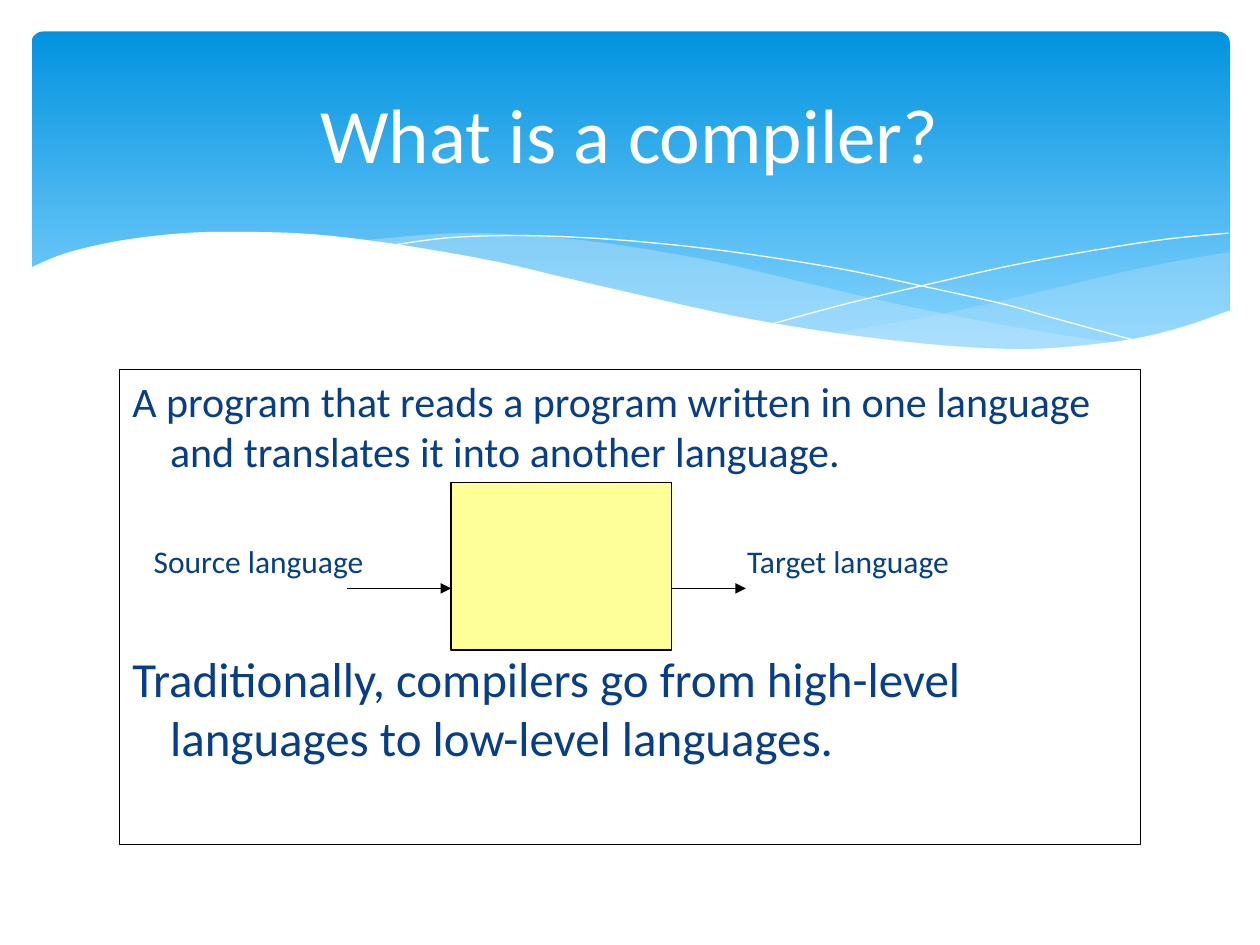
from lxml.etree import SubElement as Sub
from pptx import Presentation
from pptx.dml.color import RGBColor
from pptx.enum.shapes import MSO_CONNECTOR as Conn, MSO_SHAPE as Shape
from pptx.enum.text import MSO_ANCHOR as Anchor, MSO_AUTO_SIZE as Auto, PP_ALIGN as Align
from pptx.oxml.ns import qn
from pptx.util import Inches, Pt

NAVY, WHITE, BLACK, MIST = "073E87", "FFFFFF", "000000", "C6E7FC"

# Curve knots, in inches from the banner's top left corner
FLOOR = [(-.02, 1.88), (.27, 1.76), (.7, 1.66), (1.21, 1.6), (1.68, 1.59),
         (2.25, 1.61), (2.91, 1.69), (3.66, 1.82), (4.22, 1.95), (4.78, 2.08),
         (5.54, 2.25), (6.23, 2.37), (6.83, 2.45), (7.36, 2.5), (7.84, 2.52),
         (8.25, 2.5), (8.74, 2.44), (9.15, 2.34), (9.52, 2.21)]
VEILS = [  # upper edge, lower edge, opacity in percent
    ([(9.51, 1.75), (9.1, 1.82), (8.66, 1.91), (8.07, 2.05), (7.28, 2.23), (6.36, 2.4)],
     [(6.36, 2.4), (6.8, 2.46), (7.32, 2.51), (7.78, 2.53), (8.19, 2.52),
      (8.64, 2.47), (9.03, 2.38), (9.51, 2.22)], 29),
    ([(8.68, 2.48), (8.12, 2.4), (7.5, 2.29), (6.81, 2.15), (6.04, 1.97), (5.44, 1.83),
      (4.89, 1.73), (4.4, 1.66), (3.95, 1.62), (3.36, 1.6), (2.61, 1.66)],
     [(2.61, 1.66), (3.17, 1.74), (3.79, 1.86), (4.24, 1.97), (5.05, 2.15), (5.76, 2.3),
      (6.4, 2.41), (6.97, 2.49), (7.48, 2.52), (7.93, 2.53), (8.32, 2.52), (8.68, 2.48)], 40),
]
STRANDS = [
    [(2.84, 1.7), (3.28, 1.64), (3.76, 1.62), (4.25, 1.63), (4.85, 1.67), (5.57, 1.75),
     (6.4, 1.88), (7.02, 2.01), (7.7, 2.16), (8.06, 2.26), (8.82, 2.47)],
    [(5.88, 2.32), (6.47, 2.16), (7.23, 1.98), (7.81, 1.85), (8.41, 1.74),
     (8.99, 1.65), (9.5, 1.6)],
]


def tint(code):
    return RGBColor.from_string(code)


def setup(item, props):
    for name, value in props.items():
        setattr(item, name, value)


def paint(shape, fill=None, line=None, width=0.75):
    shape.shadow.inherit = False
    if fill:
        shape.fill.solid()
        shape.fill.fore_color.rgb = tint(fill)
    else:
        shape.fill.background()
    if line:
        shape.line.color.rgb = tint(line)
        shape.line.width = Pt(width)
    else:
        shape.line.fill.background()


def smooth(knots, steps=5):
    """Return points on a Catmull-Rom curve through the knots."""
    ends = [knots[0], *knots, knots[-1]]
    dots = [knots[0]]
    for a, b, c, d in zip(ends, ends[1:], ends[2:], ends[3:]):
        for t in (i / steps for i in range(1, steps + 1)):
            dots.append(tuple(
                (2 * q + (r - p) * t + (2 * p - 5 * q + 4 * r - s) * t ** 2
                 + (3 * q - p - 3 * r + s) * t ** 3) / 2
                for p, q, r, s in zip(a, b, c, d)))
    return dots


def outline(slide, dots, left, top, close=True):
    spots = [(Inches(left + x), Inches(top + y)) for x, y in dots]
    pen = slide.shapes.build_freeform(*spots[0])
    pen.add_line_segments(spots[1:], close=close)
    return pen.convert_to_shape()


def banner(slide, left, top, width, height):
    # Blue panel
    panel = slide.shapes.add_shape(Shape.ROUNDED_RECTANGLE, *map(Inches, (left, top, width, height)))
    panel.adjustments[0] = 0.034
    paint(panel)
    panel.fill.gradient()
    panel.fill.gradient_angle = 270
    for stop, code, place in zip(panel.fill.gradient_stops, ("0293E0", "83D3FE"), (0, 0.9)):
        stop.color.rgb = tint(code)
        stop.position = place
    # Sheer waves
    for upper, lower, alpha in VEILS:
        veil = outline(slide, smooth(upper) + smooth(lower), left, top)
        paint(veil, MIST)
        color = veil.fill._xPr.find(qn("a:solidFill"))[0]
        Sub(color, qn("a:alpha"), val=str(alpha * 1000))
    # Thin strands
    for knots in STRANDS:
        paint(outline(slide, smooth(knots), left, top, False), line=WHITE, width=0)
    # White wave over the lower edge
    base = [(9.52, 3.04), (-.02, 3.04)]
    paint(outline(slide, smooth(FLOOR) + base, left, top), WHITE)


def place(slide, holder, box):
    """Size a placeholder and bring it to the front."""
    setup(holder, dict(zip(("left", "top", "width", "height"), map(Inches, box))))
    setup(holder.text_frame, {"word_wrap": True, "auto_size": Auto.NONE})
    slide.shapes._spTree.append(holder._element)


def write(para, text, size, color):
    run = para.add_run()
    run.text = text
    setup(run.font, {"size": Pt(size), "name": "Calibri"})
    run.font.color.rgb = tint(color)


def heading(slide, *box):
    title = slide.shapes.title
    place(slide, title, box)
    title.text_frame.vertical_anchor = Anchor.MIDDLE
    para = title.text_frame.paragraphs[0]
    para.alignment = Align.CENTER
    write(para, "What is a compiler?", 44, WHITE)


def content(slide, *box):
    body = slide.placeholders[1]
    place(slide, body, box)
    paint(body, line=BLACK)
    frame = body.text_frame
    frame.vertical_anchor = Anchor.TOP
    rows = [  # text, size, space before (the second leaves room for the diagram)
        ("A program that reads a program written in one language "
         "and translates it into another language.", 24, 0),
        ("Traditionally, compilers go from high-level languages "
         "to low-level languages.", 28, 98.5),
    ]
    for i, (text, size, gap) in enumerate(rows):
        para = frame.add_paragraph() if i else frame.paragraphs[0]
        setup(para, {"space_before": Pt(gap), "space_after": Pt(0), "alignment": Align.LEFT})
        write(para, text, size, NAVY)
        props = para._p.get_or_add_pPr()
        props.set("marL", str(Inches(0.3)))
        props.set("indent", str(Inches(-0.3)))
        Sub(props, qn("a:buNone"))


def arrow(slide, start, end, y):
    line = slide.shapes.add_connector(Conn.STRAIGHT, *map(Inches, (start, y, end, y)))
    line.line.color.rgb = tint(BLACK)
    line.line.width = Pt(0.75)
    Sub(line.line._get_or_add_ln(), qn("a:tailEnd"), type="triangle")
    Sub(line._element.spPr, qn("a:effectLst"))


def label(slide, text, left, top):
    box = slide.shapes.add_textbox(*map(Inches, (left, top, 1.8, 0.31)))
    frame = box.text_frame
    setup(frame, {"word_wrap": True, "margin_left": 0, "margin_right": 0,
                  "margin_top": 0, "margin_bottom": 0})
    write(frame.paragraphs[0], text, 18, NAVY)


def diagram(slide, left, top, width, height):
    # Compiler box
    box = slide.shapes.add_shape(Shape.RECTANGLE, *map(Inches, (left, top, width, height)))
    paint(box, "FFFF99", BLACK)
    # Input and output arrows
    right, y = left + width, top + 0.84
    arrow(slide, left - 0.83, left, y)
    arrow(slide, right, right + 0.59, y)
    # Language names
    label(slide, "Source language", left - 2.36, top + 0.47)
    label(slide, "Target language", right + 0.6, top + 0.47)


def main():
    deck = Presentation()
    setup(deck, {"slide_width": Inches(10), "slide_height": Inches(7.5)})
    slide = deck.slides.add_slide(deck.slide_layouts[1])
    banner(slide, 0.25, 0.25, 9.51, 2.7)
    content(slide, 0.95, 2.93, 8.1, 3.77)
    heading(slide, 0.5, 0.37, 9, 1.37)
    diagram(slide, 3.58, 3.83, 1.75, 1.33)
    deck.save("out.pptx")


if __name__ == "__main__":
    main()
